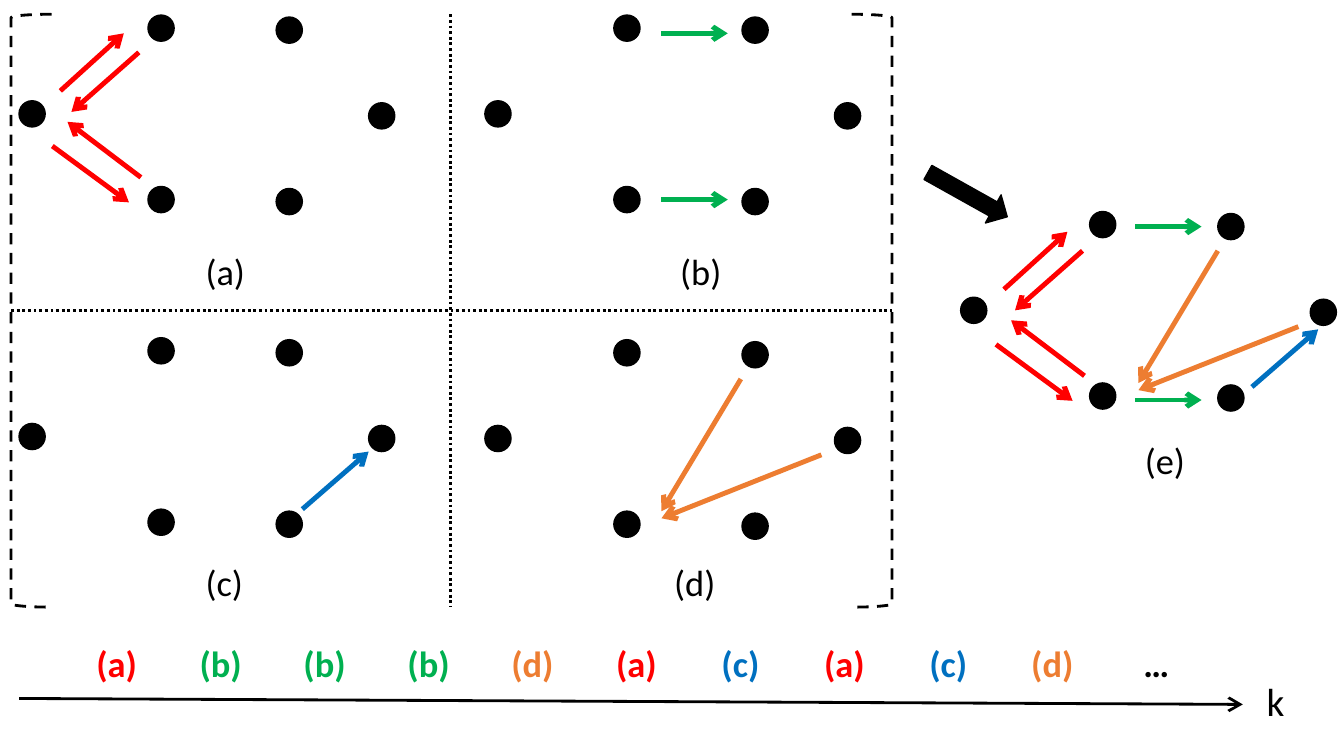
from itertools import cycle
from lxml.etree import SubElement
from pptx import Presentation
from pptx.dml.color import RGBColor
from pptx.enum.dml import MSO_LINE
from pptx.enum.shapes import MSO_CONNECTOR, MSO_SHAPE
from pptx.enum.text import MSO_ANCHOR, MSO_AUTO_SIZE, PP_ALIGN
from pptx.oxml.ns import qn
from pptx.util import Cm, Pt

COLORS = {"black": "000000", "a": "FF0000", "b": "00B050",
          "c": "0070C0", "d": "ED7D31"}
DOT = 0.66
# Node places within a graph, in cm from the graph's origin
NODES = [(3.25, 0), (0, 2.16), (3.25, 4.32), (6.48, 4.37), (8.81, 2.21), (6.48, 0.05)]
# Edges of each subgraph: x1, y1, x2, y2 in cm from the graph's origin
EDGES = {
    "a": [(1.04, 1.91, 2.64, 0.46), (3.02, 0.94, 1.32, 2.44),
          (3.07, 4.09, 1.22, 2.69), (0.84, 3.3, 2.77, 4.72)],
    "b": [(4.45, 0.46, 6.12, 0.46), (4.45, 4.65, 6.12, 4.65)],
    "c": [(7.14, 4.32, 8.81, 2.87)],
    "d": [(6.45, 0.99, 4.45, 4.32), (8.48, 2.9, 4.45, 4.5)],
}
# Graph origin, and left and top of its label
GRAPHS = {
    "a": (0.48, 0.38, 4.93, 6.15),
    "b": (12.22, 0.38, 16.89, 6.15),
    "c": (0.48, 8.51, 4.93, 14),
    "d": (12.22, 8.56, 16.74, 14),
    "e": (24.21, 5.33, 28.6, 10.92),
}
# Small shifts, cycled over the edges, that keep those of the union graph apart
UNION_SHIFTS = {"a": [(0.05, 0.05)], "b": [(-0.05, -0.08), (-0.05, 0.1)],
                "c": [(0.2, 0.1)], "d": [(0.03, 0)]}
SEQUENCE = "abbbdacacd"


def rgb(name):
    """Return the named colour."""
    return RGBColor.from_string(COLORS[name])


def write(tf, text, size=26, color="black", bold=False, align=PP_ALIGN.LEFT):
    """Write one formatted line into a text frame."""
    p = tf.paragraphs[0]
    p.alignment = align
    r = p.add_run()
    r.text = text
    r.font.name = "Calibri"
    r.font.size = Pt(size)
    r.font.bold = bold
    r.font.color.rgb = rgb(color)


def add_label(s, text, x, y, w=1.57, h=1.37, **fmt):
    """Add a text box that grows with its text."""
    tf = s.shapes.add_textbox(Cm(x), Cm(y), Cm(w), Cm(h)).text_frame
    tf.word_wrap = False
    tf.auto_size = MSO_AUTO_SIZE.SHAPE_TO_FIT_TEXT
    write(tf, text, **fmt)


def add_black_shape(s, kind, x, y, w, h, width=1, filled=True):
    """Add a preset shape with a black line and, if wanted, a black fill."""
    sp = s.shapes.add_shape(kind, Cm(x), Cm(y), Cm(w), Cm(h))
    sp.shadow.inherit = False
    sp.line.color.rgb = rgb("black")
    sp.line.width = Pt(width)
    if filled:
        sp.fill.solid()
        sp.fill.fore_color.rgb = rgb("black")
    else:
        sp.fill.background()
    return sp


def add_line(s, x1, y1, x2, y2, color="black", width=2, head=None, dash=None):
    """Add a straight line, with an open arrowhead of the given size if wanted."""
    cx = s.shapes.add_connector(MSO_CONNECTOR.STRAIGHT, Cm(x1), Cm(y1), Cm(x2), Cm(y2))
    cx.line.color.rgb = rgb(color)
    cx.line.width = Pt(width)
    if dash:
        cx.line.dash_style = dash
    if head:
        ln = cx._element.spPr.find(qn("a:ln"))
        SubElement(ln, qn("a:tailEnd"), type="arrow", w=head, len=head)
    SubElement(cx._element.spPr, qn("a:effectLst"))


def add_edges(s, name, x, y, shifts):
    """Add the coloured edges of one subgraph at an origin."""
    for (x1, y1, x2, y2), (dx, dy) in zip(EDGES[name], cycle(shifts)):
        add_line(s, x + x1 + dx, y + y1 + dy, x + x2 + dx, y + y2 + dy,
                 color=name, width=3.5, head="med")


def add_graph(s, name, x, y, label_x, label_y):
    """Add the nodes, edges and label of one graph."""
    for dx, dy in NODES:
        add_black_shape(s, MSO_SHAPE.OVAL, x + dx, y + dy, DOT, DOT)
    parts = UNION_SHIFTS if name == "e" else {name: [(0, 0)]}
    for part, shifts in parts.items():
        add_edges(s, part, x, y, shifts)
    add_label(s, f"({name})", label_x, label_y)


def add_bracket(s, x, flipped=False):
    """Add a dashed bracket beside the four subgraphs."""
    sp = add_black_shape(s, MSO_SHAPE.RIGHT_BRACKET, x, 0.36, 1.02, 14.94,
                         width=2, filled=False)
    sp.line.dash_style = MSO_LINE.DASH
    if flipped:
        sp._element.spPr.find(qn("a:xfrm")).set("flipH", "1")


def add_sequence(s):
    """Add the one-row table of subgraphs over time."""
    entries = [(f"({name})", name) for name in SEQUENCE] + [("…", "black")]
    n = len(entries)
    tbl = s.shapes.add_table(1, n, Cm(1.63), Cm(16.08), Cm(2.62 * n), Cm(1.35)).table
    tbl.first_row = tbl.horz_banding = False
    for cell, (text, color) in zip(tbl.iter_cells(), entries):
        cell.fill.background()
        cell.vertical_anchor = MSO_ANCHOR.MIDDLE
        write(cell.text_frame, text, color=color, bold=True, align=PP_ALIGN.CENTER)


def main():
    """Build the slide and save it."""
    prs = Presentation()
    prs.slide_width, prs.slide_height = Cm(33.87), Cm(19.05)
    s = prs.slides.add_slide(prs.slide_layouts[6])

    for name, places in GRAPHS.items():
        add_graph(s, name, *places)

    add_line(s, 0.48, 17.6, 31.32, 17.75, head="lg")
    add_label(s, "k", 31.67, 16.94, w=0.97, h=1.45, size=28)
    add_sequence(s)

    add_line(s, 0.28, 7.82, 22.48, 7.82, dash=MSO_LINE.ROUND_DOT)
    add_line(s, 11.35, 0.36, 11.35, 15.29, dash=MSO_LINE.ROUND_DOT)
    add_bracket(s, 21.46)
    add_bracket(s, 0.28, flipped=True)
    union_arrow = add_black_shape(s, MSO_SHAPE.RIGHT_ARROW, 23.24, 4.5, 2.29, 0.81)
    union_arrow.rotation = 29.2

    prs.save("out.pptx")


main()
